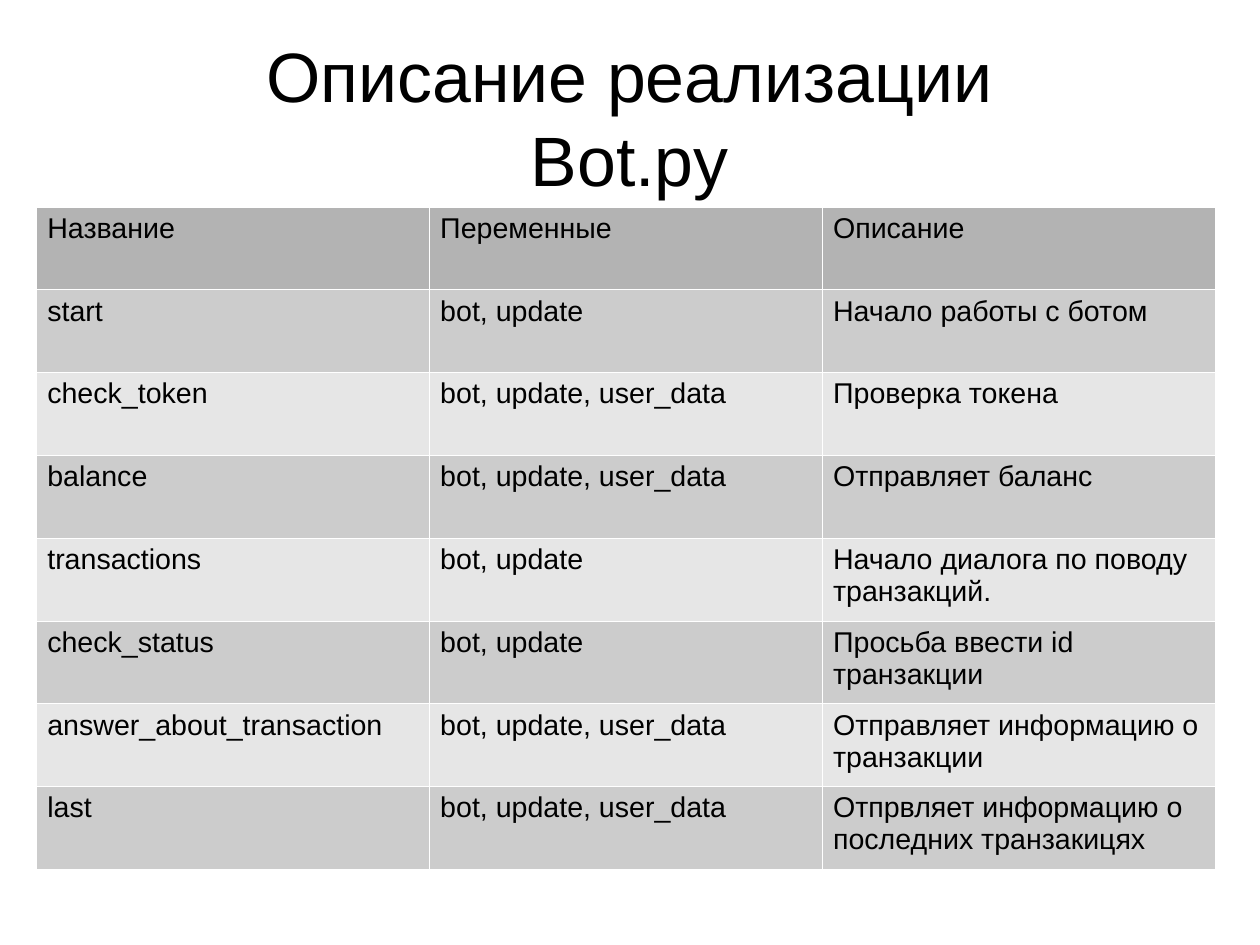
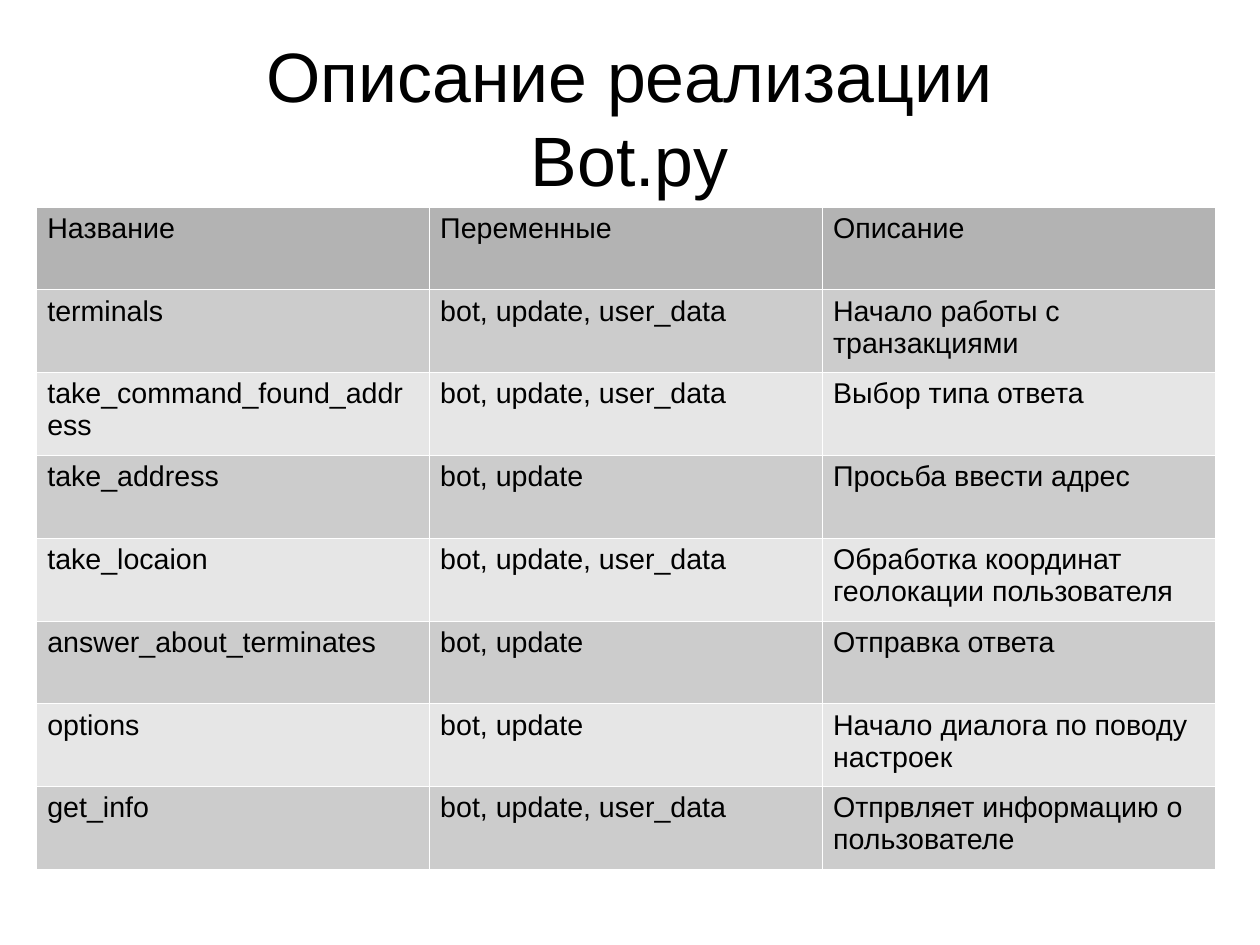
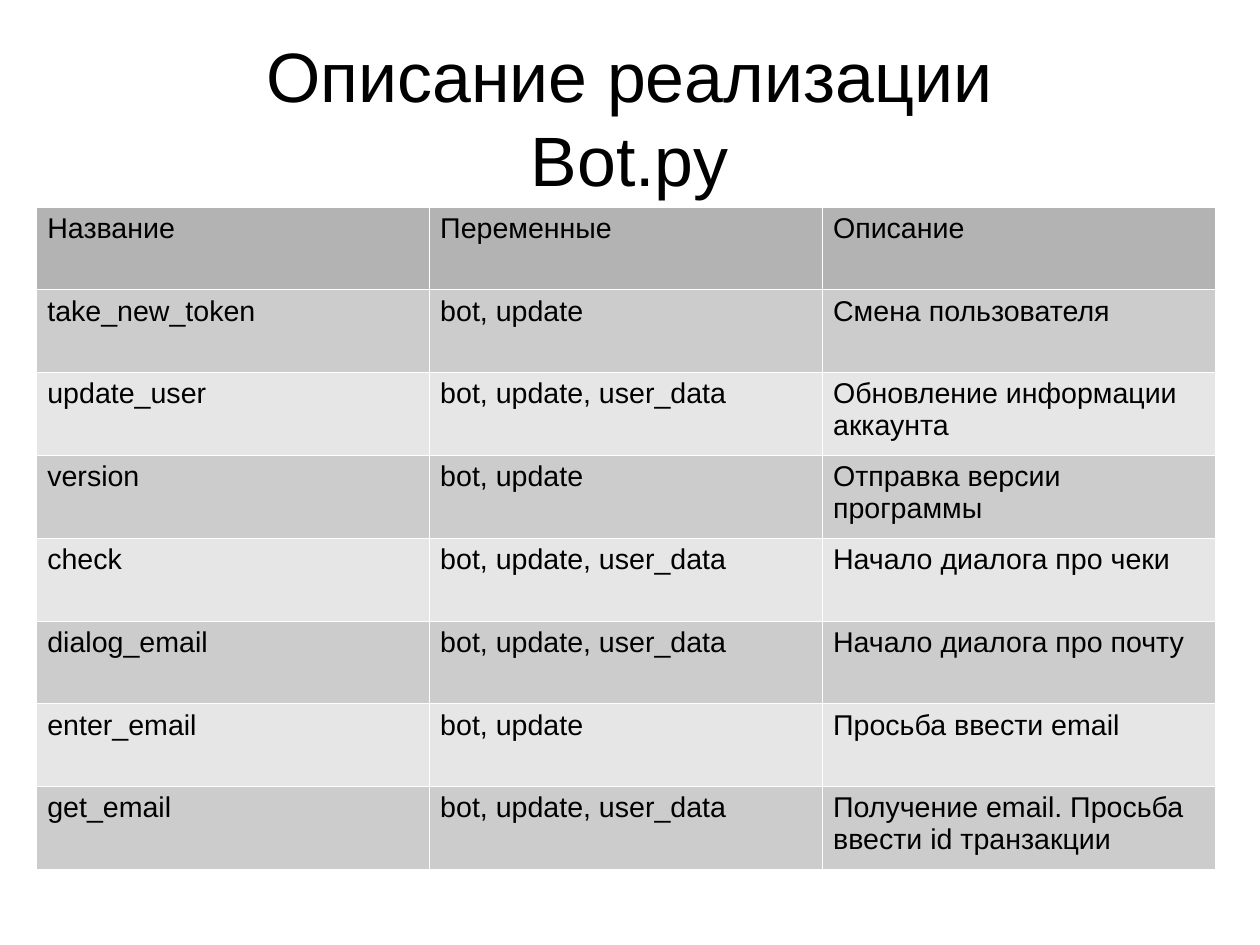
from lxml.etree import SubElement
from pptx import Presentation
from pptx.dml.color import RGBColor
from pptx.enum.text import MSO_ANCHOR, PP_ALIGN
from pptx.oxml.ns import qn
from pptx.util import Cm, Pt

SLIDE_WIDTH, SLIDE_HEIGHT = Cm(28), Cm(21)
TITLE_BOX = (5, 4, 90, 16.7)
TABLE_BOX = (2.85, 21.86, 93.55, 70.13)
FONT = "Arial"
INK, RULE = "000000", "FFFFFF"
HEADER_FILL, BAND_FILLS = "B3B3B3", ("CCCCCC", "E6E6E6")
RULE_WIDTH = Pt(0.06)

TITLE = ("Описание реализации", "Bot.py")
HEADER = ("Название", "Переменные", "Описание")
BASIC = "bot, update"
WITH_DATA = "bot, update, user_data"

FUNCTION_GROUPS = (
    (
        ("start", BASIC, "Начало работы с ботом"),
        ("check_token", WITH_DATA, "Проверка токена"),
        ("balance", WITH_DATA, "Отправляет баланс"),
        ("transactions", BASIC, "Начало диалога по поводу транзакций."),
        ("check_status", BASIC, "Просьба ввести id транзакции"),
        ("answer_about_transaction", WITH_DATA, "Отправляет информацию о транзакции"),
        ("last", WITH_DATA, "Отпрвляет информацию о последних транзакицях"),
    ),
    (
        ("terminals", WITH_DATA, "Начало работы с транзакциями"),
        ("take_command_found_address", WITH_DATA, "Выбор типа ответа"),
        ("take_address", BASIC, "Просьба ввести адрес"),
        ("take_locaion", WITH_DATA, "Обработка координат геолокации пользователя"),
        ("answer_about_terminates", BASIC, "Отправка ответа"),
        ("options", BASIC, "Начало диалога по поводу настроек"),
        ("get_info", WITH_DATA, "Отпрвляет информацию о пользователе"),
    ),
    (
        ("take_new_token", BASIC, "Смена пользователя"),
        ("update_user", WITH_DATA, "Обновление информации аккаунта"),
        ("version", BASIC, "Отправка версии программы"),
        ("check", WITH_DATA, "Начало диалога про чеки"),
        ("dialog_email", WITH_DATA, "Начало диалога про почту"),
        ("enter_email", BASIC, "Просьба ввести email"),
        ("get_email", WITH_DATA, "Получение email. Просьба ввести id транзакции"),
    ),
)


def paint(color_format, color):
    """Set a colour from a hex string."""
    color_format.rgb = RGBColor.from_string(color)


def place(box):
    """Turn percentages of the slide into left, top, width and height."""
    sides = (SLIDE_WIDTH, SLIDE_HEIGHT) * 2
    return [round(side * share / 100) for side, share in zip(sides, box)]


def write(paragraph, text, size):
    """Add one run in the shared font and ink."""
    run = paragraph.add_run()
    run.text = text
    run.font.name = FONT
    run.font.size = Pt(size)
    paint(run.font.color, INK)


def add_title(slide, lines, box):
    """Place a centred title with one paragraph for each line."""
    frame = slide.shapes.add_textbox(*place(box)).text_frame
    frame.word_wrap = True
    frame.vertical_anchor = MSO_ANCHOR.MIDDLE
    frame.margin_left = frame.margin_top = frame.margin_right = frame.margin_bottom = 0
    for index, line in enumerate(lines):
        paragraph = frame.add_paragraph() if index else frame.paragraphs[0]
        paragraph.alignment = PP_ALIGN.CENTER
        write(paragraph, line, 44)


def rule_cell(cell):
    """Draw a thin rule on all four sides of a cell."""
    properties = cell._tc.get_or_add_tcPr()
    for side in ("a:lnL", "a:lnR", "a:lnT", "a:lnB"):
        rule = SubElement(properties, qn(side), w=str(RULE_WIDTH))
        SubElement(SubElement(rule, qn("a:solidFill")), qn("a:srgbClr"), val=RULE)


def fill_cell(cell, text, color):
    """Give a cell its rules, fill and text."""
    rule_cell(cell)
    cell.fill.solid()
    paint(cell.fill.fore_color, color)
    write(cell.text_frame.paragraphs[0], text, 18)


def add_function_table(slide, functions, box):
    """Place a banded table with equal columns and rows under a header."""
    rows = (HEADER, *functions)
    left, top, width, height = place(box)
    table = slide.shapes.add_table(
        len(rows), len(HEADER), left, top, width, height
    ).table
    for column in table.columns:
        column.width = width // len(HEADER)
    for index, (row, texts) in enumerate(zip(table.rows, rows)):
        row.height = height // len(rows)
        color = BAND_FILLS[(index - 1) % 2] if index else HEADER_FILL
        for cell, text in zip(row.cells, texts):
            fill_cell(cell, text, color)


def add_function_slide(presentation, functions):
    """Add a slide with the shared title and one group of functions."""
    slide = presentation.slides.add_slide(presentation.slide_layouts[6])
    add_title(slide, TITLE, TITLE_BOX)
    add_function_table(slide, functions, TABLE_BOX)


def main():
    """Build and save the presentation."""
    presentation = Presentation()
    presentation.slide_width = SLIDE_WIDTH
    presentation.slide_height = SLIDE_HEIGHT
    for functions in FUNCTION_GROUPS:
        add_function_slide(presentation, functions)
    presentation.save("out.pptx")


if __name__ == "__main__":
    main()
